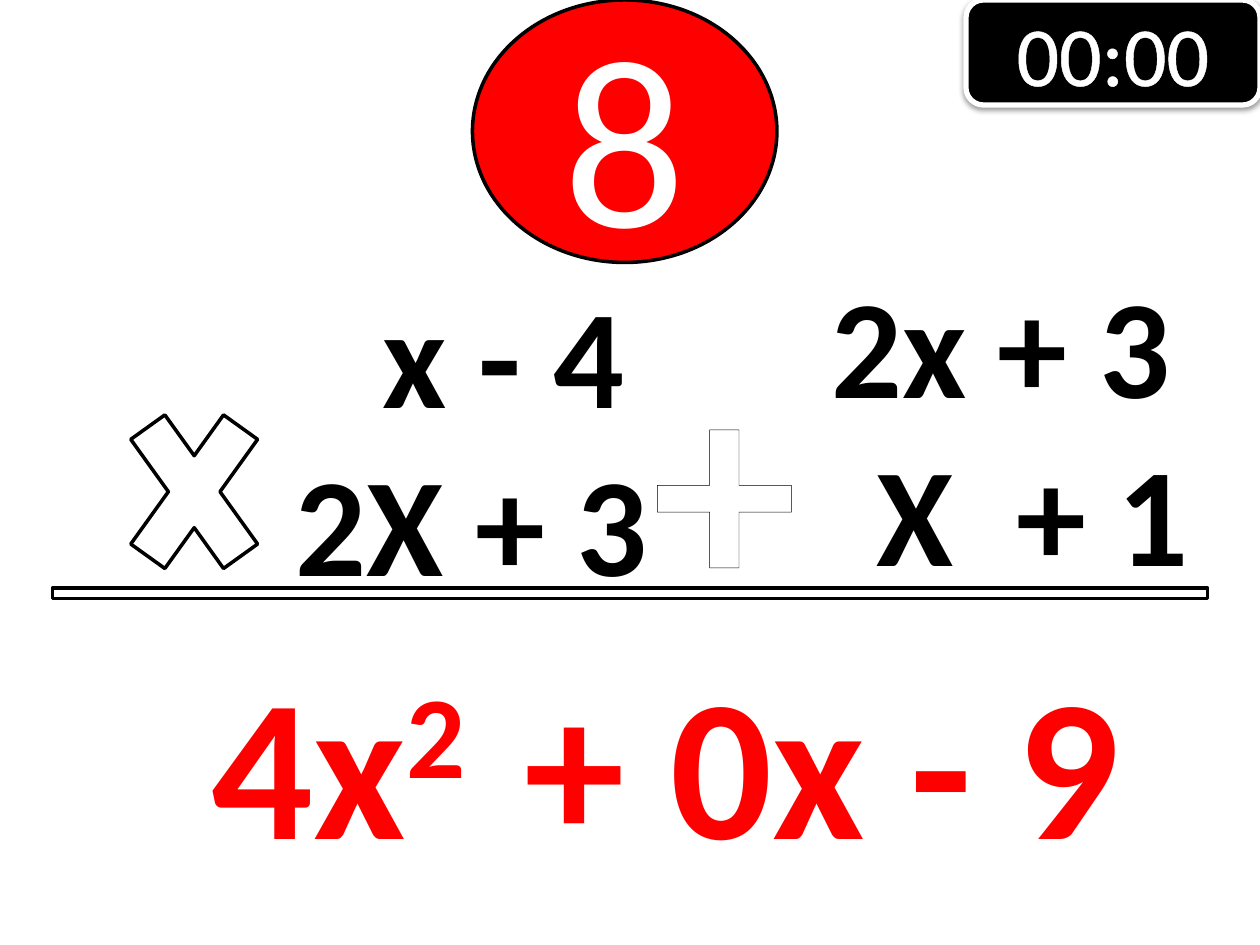
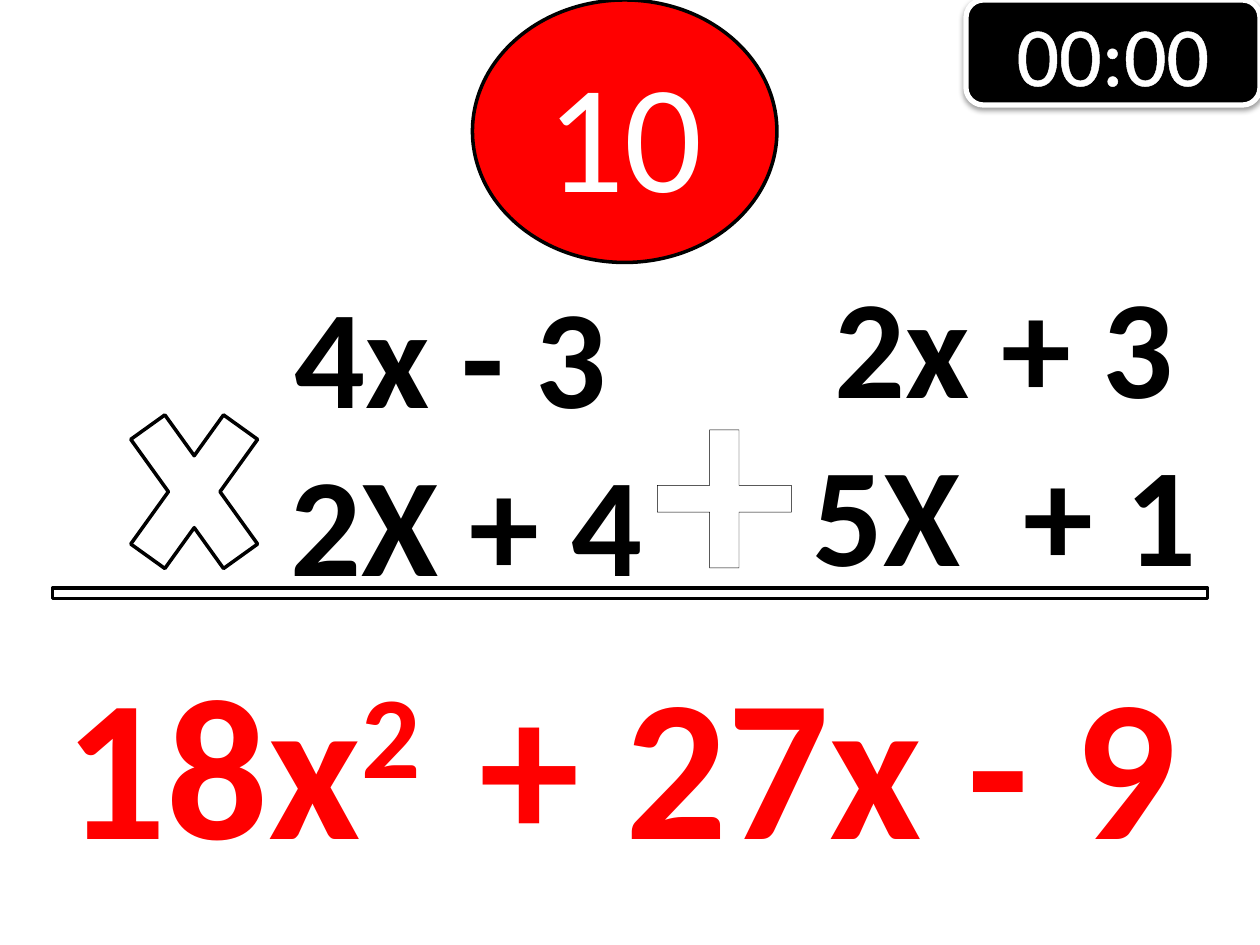
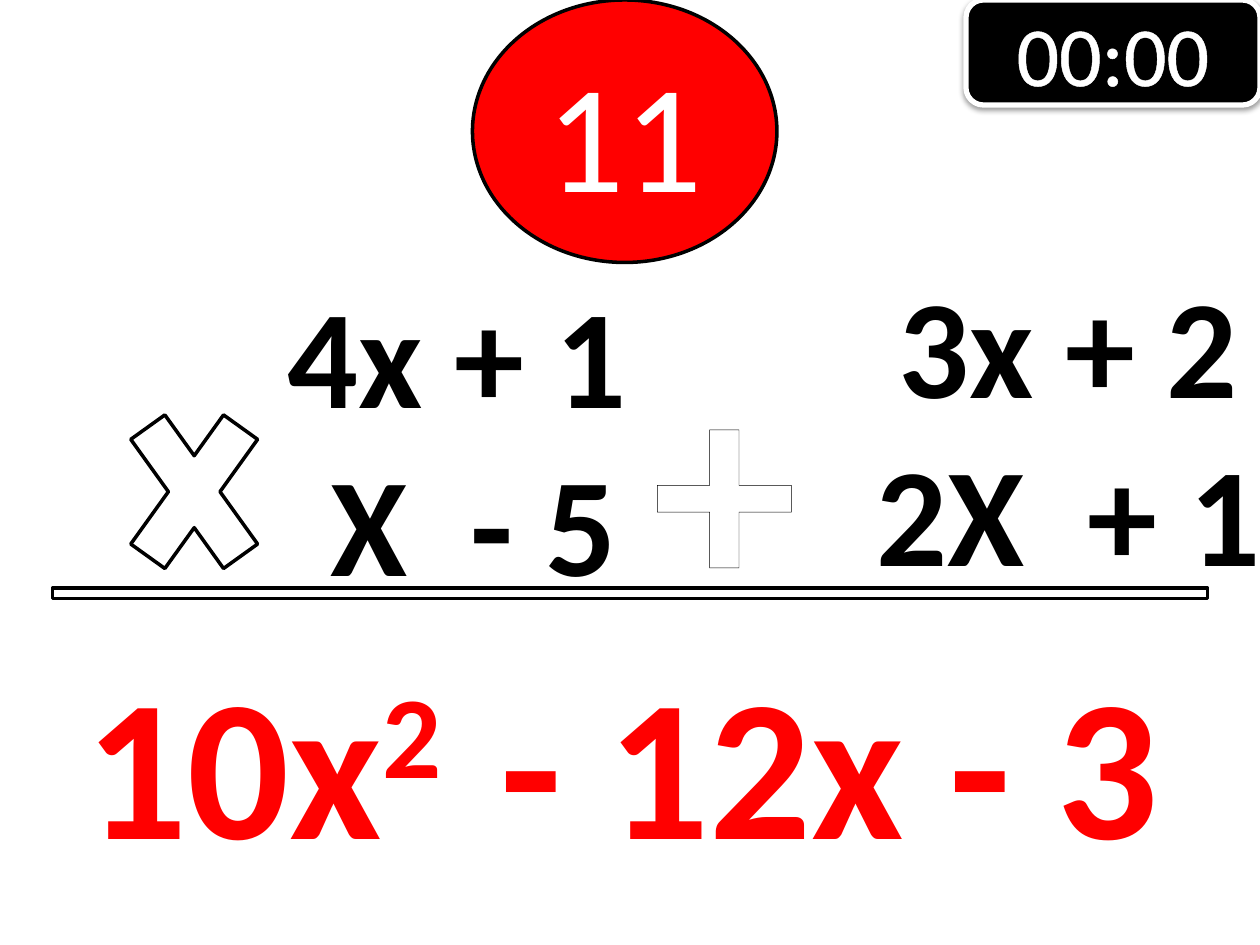
"""Build three quiz slides that multiply and add binomials."""
from lxml import etree
from pptx import Presentation, util as u
from pptx.dml.color import RGBColor
from pptx.enum import shapes, text
from pptx.oxml import parse_xml
from pptx.oxml.ns import nsdecls

Pt = u.Pt
FORM = shapes.MSO_SHAPE
BLACK, WHITE, RED = "000000", "FFFFFF", "FF0000"
FONT = "Calibri"
SPACE = 18


def color(code):
    """Turn a hex string into a colour."""
    return RGBColor.from_string(code)


def solid(code):
    """Give the XML of a solid fill."""
    return f'<a:solidFill><a:srgbClr val="{code}"/></a:solidFill>'


class Quiz:
    """Hold the deck style and the current slide."""

    def __init__(self):
        """Start an empty deck of 10 by 7.5 inches."""
        self.deck = Presentation()
        self.deck.slide_width, self.deck.slide_height = Pt(720), Pt(540)

    def page(self):
        """Add a blank white slide."""
        self.slide = self.deck.slides.add_slide(self.deck.slide_layouts[6])
        fill = self.slide.background.fill
        fill.solid()
        fill.fore_color.rgb = color(WHITE)

    def style(self, run, size, ink, bold=False, edge=None, **marks):
        """Set font, outline and further run marks."""
        font = run.font
        font.name, font.size, font.bold = FONT, Pt(size), bold
        font.color.rgb = color(ink)
        props = run._r.get_or_add_rPr()
        for name, value in marks.items():
            props.set(name, str(value))
        if edge:
            props.insert(0, parse_xml(
                f'<a:ln {nsdecls("a")} w="18415">{solid(edge)}</a:ln>'))

    def shape(self, form, box, fill=WHITE, line=BLACK, width=2):
        """Draw a filled and outlined preset shape."""
        item = self.slide.shapes.add_shape(form, *map(Pt, box))
        item.shadow.inherit = False
        item.fill.solid()
        item.fill.fore_color.rgb = color(fill)
        item.line.color.rgb = color(line)
        item.line.width = Pt(width)
        return item

    def label(self, item, words, size, edge=None):
        """Write centred white text in a shape."""
        frame = item.text_frame
        frame.text = words
        frame.vertical_anchor = text.MSO_ANCHOR.MIDDLE
        par = frame.paragraphs[0]
        par.alignment = text.PP_ALIGN.CENTER
        self.style(par.runs[0], size, WHITE, edge=edge)

    def badge(self, number):
        """Draw the red oval with the question number."""
        oval = self.shape(FORM.OVAL, (270, 0, 174, 150), RED)
        self.label(oval, number, 138 if len(number) == 1 else 88)

    def timer(self):
        """Draw the black clock with its soft shadow."""
        clock = self.shape(FORM.ROUNDED_RECTANGLE, (552, 0, 168, 60),
                           BLACK, WHITE, 3)
        self.label(clock, "00:00", 48, WHITE)
        glow = clock._element.spPr.find(
            "{http://schemas.openxmlformats.org/drawingml/2006/main}effectLst")
        glow.append(etree.fromstring(
            f'<a:outerShdw {nsdecls("a")} blurRad="{Pt(3.1)}" '
            f'dist="{Pt(1.6)}" dir="5400000" rotWithShape="0">'
            f'<a:srgbClr val="{BLACK}"><a:alpha val="38000"/></a:srgbClr>'
            '</a:outerShdw>'))

    def frame(self, box):
        """Add a wrapping text box without side insets."""
        frame = self.slide.shapes.add_textbox(*map(Pt, box)).text_frame
        frame.word_wrap = True
        frame.auto_size = text.MSO_AUTO_SIZE.SHAPE_TO_FIT_TEXT
        frame.margin_left = frame.margin_right = 0
        return frame

    def stack(self, box, lines, size=80, ink=BLACK):
        """Write centred lines; each has a shift in spaces, ~ is a wide gap."""
        frame = self.frame(box)
        for row, (words, shift) in enumerate(lines):
            par = frame.add_paragraph() if row else frame.paragraphs[0]
            par.alignment = text.PP_ALIGN.CENTER
            if shift:
                side = "marL" if shift > 0 else "marR"
                par._p.get_or_add_pPr().set(side, str(Pt(abs(shift) * SPACE)))
            head, gap, tail = words.partition("~")
            par.text = head
            self.style(par.runs[0], size, ink, True, BLACK)
            if gap:
                for part, wide in ((" ", SPACE * 100), (tail, 0)):
                    run = par.add_run()
                    run.text = part
                    self.style(run, size, ink, True, BLACK, spc=wide)

    def answer(self, left, width, lead, rest):
        """Write the red result with its squared term."""
        frame = self.frame((left, 360, width, 147))
        frame.word_wrap = False
        frame.margin_left = frame.margin_right = Pt(7.2)
        frame.vertical_anchor = text.MSO_ANCHOR.MIDDLE
        par = frame.paragraphs[0]
        parts = ((lead, {}), ("2", {"baseline": 30000}),
                 (" ", {"spc": 800}), (rest, {}))
        for words, marks in parts:
            run = par.add_run()
            run.text = words
            self.style(run, 115, RED, True, RED, **marks)

    def task(self, number, left, right, result):
        """Build one question slide."""
        self.page()
        self.badge(number)
        self.timer()
        start, width, *lines = left
        self.stack((start, 150, width, 201), lines)
        self.shape(FORM.RECTANGLE, (30, 336, 660, 6))
        self.shape(FORM.MATH_MULTIPLY, (60, 210, 102, 142))
        self.stack((366, 168, 96, 208), [("+", 0)], 166, WHITE)
        width, *lines = right
        self.stack((456, 144, width, 201), lines)
        self.answer(*result)


TASKS = [
    ("8", (138, 263.5, ("x - 4", 2), ("2X + 3", 0)),
     (232, ("2x + 3", 0), ("X~+ 1", 2)),
     (114, 544, "4x", "+ 0x - 9")),
    ("10", (156, 239, ("4x - 3", -2), ("2X + 4", -1)),
     (236, ("2x + 3", 0), ("5X~+ 1", 0)),
     (30, 662, "18x", "+ 27x - 9")),
    ("11", (156, 247, ("4x + 1", -2), ("X~- 5", -1)),
     (273, ("3x + 2", 2), ("2X~+ 1", 2)),
     (42, 639, "10x", "- 12x - 3")),
]

quiz = Quiz()
for task in TASKS:
    quiz.task(*task)
quiz.deck.save("out.pptx")
